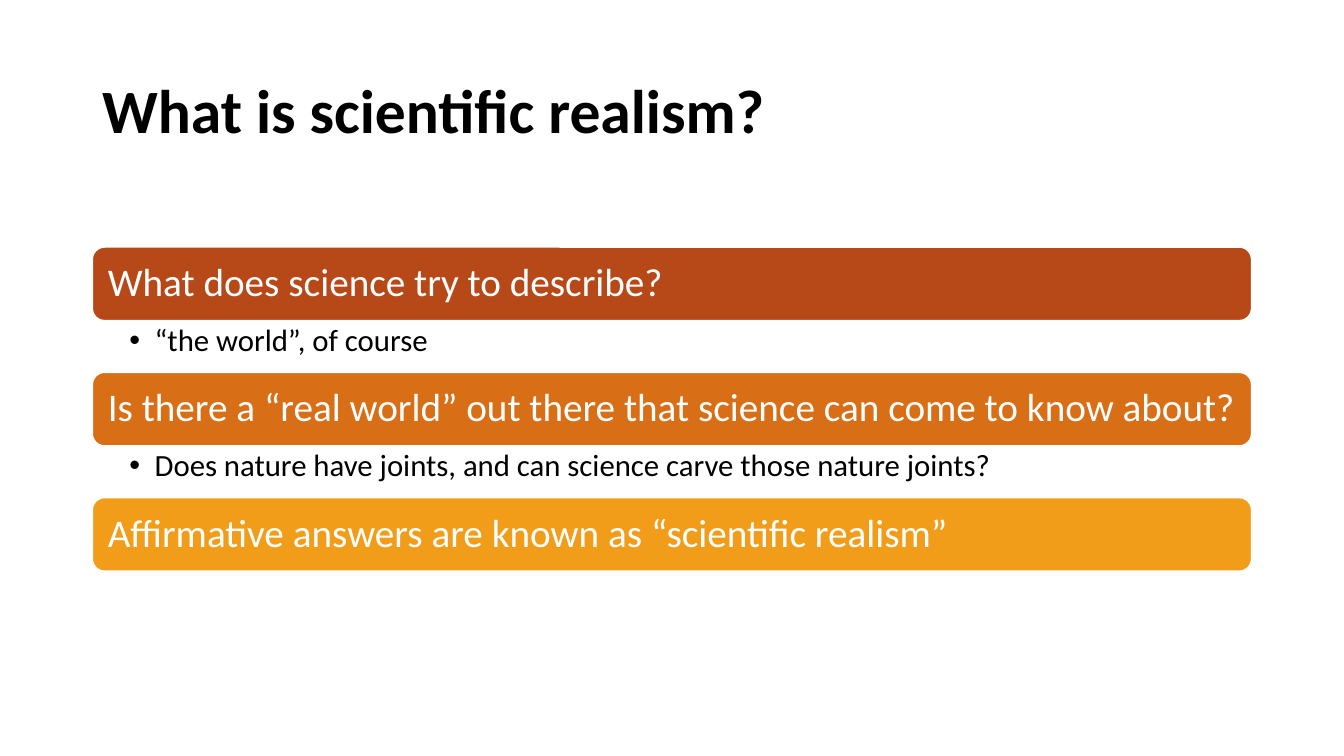
from lxml.etree import SubElement
from pptx import Presentation
from pptx.dml.color import RGBColor
from pptx.enum.shapes import MSO_SHAPE as Shape
from pptx.enum.text import MSO_ANCHOR as Anchor, PP_ALIGN as Align
from pptx.oxml.ns import qn
from pptx.util import Pt

BLACK = RGBColor(0x00, 0x00, 0x00)
WHITE = RGBColor(0xFF, 0xFF, 0xFF)
RUST = RGBColor(0xB7, 0x49, 0x19)
ORANGE = RGBColor(0xD8, 0x6E, 0x15)
AMBER = RGBColor(0xF1, 0x9D, 0x19)

# Content: bar colour, question, answer below it
TITLE = "What is scientific realism?"
SECTIONS = [
    (RUST, "What does science try to describe?", "“the world”, of course"),
    (ORANGE, "Is there a “real world” out there that science can come to know about?",
     "Does nature have joints, and can science carve those nature joints?"),
    (AMBER, "Affirmative answers are known as “scientific realism”", None),
]

# Text formats
TITLE_FONT = {"name": "Calibri", "size": Pt(44), "bold": True}
BAR_FONT = {"name": "Calibri", "size": Pt(28), "bold": False}
ANSWER_FONT = {"name": "Calibri", "size": Pt(22), "bold": False}

# Layout in px, 144 to the inch
PX = 6350
SLIDE_WIDTH, SLIDE_HEIGHT = 1920, 1080
LEFT, WIDTH = 132, 1656
TITLE_TOP, TITLE_HEIGHT = 58, 209
FIRST_BAR_TOP, BAR_HEIGHT, ANSWER_HEIGHT = 353, 105, 74
TITLE_MARGINS = (14, 7, 14, 7)
BAR_MARGINS = (17, 12, 8, 12)
ANSWER_MARGINS = (53, 6, 32, 6)
BULLET_INDENT = 36


def box(top, height):
    return [length * PX for length in (LEFT, top, WIDTH, height)]


def write(shape, text, font, color, margins, anchor, bullet=False):
    frame = shape.text_frame
    frame.word_wrap = True
    frame.vertical_anchor = anchor
    for side, margin in zip(("left", "top", "right", "bottom"), margins):
        setattr(frame, f"margin_{side}", margin * PX)
    paragraph = frame.paragraphs[0]
    paragraph.alignment = Align.LEFT
    paragraph.line_spacing = 0.9
    if bullet:
        properties = paragraph._p.get_or_add_pPr()
        properties.set("marL", str(BULLET_INDENT * PX))
        properties.set("indent", str(-BULLET_INDENT * PX))
        SubElement(properties, qn("a:buFont")).set("typeface", "Arial")
        SubElement(properties, qn("a:buChar")).set("char", "•")
    run = paragraph.add_run()
    run.text = text
    for name, value in font.items():
        setattr(run.font, name, value)
    run.font.color.rgb = color


def add_bar(slide, top, color, text):
    bar = slide.shapes.add_shape(Shape.ROUNDED_RECTANGLE, *box(top, BAR_HEIGHT))
    bar.shadow.inherit = False
    bar.fill.solid()
    bar.fill.fore_color.rgb = color
    bar.line.color.rgb = WHITE
    bar.line.width = Pt(1)
    write(bar, text, BAR_FONT, WHITE, BAR_MARGINS, Anchor.MIDDLE)


def main():
    presentation = Presentation()
    presentation.slide_width = SLIDE_WIDTH * PX
    presentation.slide_height = SLIDE_HEIGHT * PX
    slide = presentation.slides.add_slide(presentation.slide_layouts[6])

    # Title
    title = slide.shapes.add_textbox(*box(TITLE_TOP, TITLE_HEIGHT))
    write(title, TITLE, TITLE_FONT, BLACK, TITLE_MARGINS, Anchor.MIDDLE)

    # Bars with their answers
    for index, (color, question, answer) in enumerate(SECTIONS):
        top = FIRST_BAR_TOP + index * (BAR_HEIGHT + ANSWER_HEIGHT)
        add_bar(slide, top, color, question)
        if answer:
            answer_box = slide.shapes.add_textbox(*box(top + BAR_HEIGHT, ANSWER_HEIGHT))
            write(answer_box, answer, ANSWER_FONT, BLACK, ANSWER_MARGINS,
                  Anchor.TOP, bullet=True)

    presentation.save("out.pptx")


if __name__ == "__main__":
    main()
